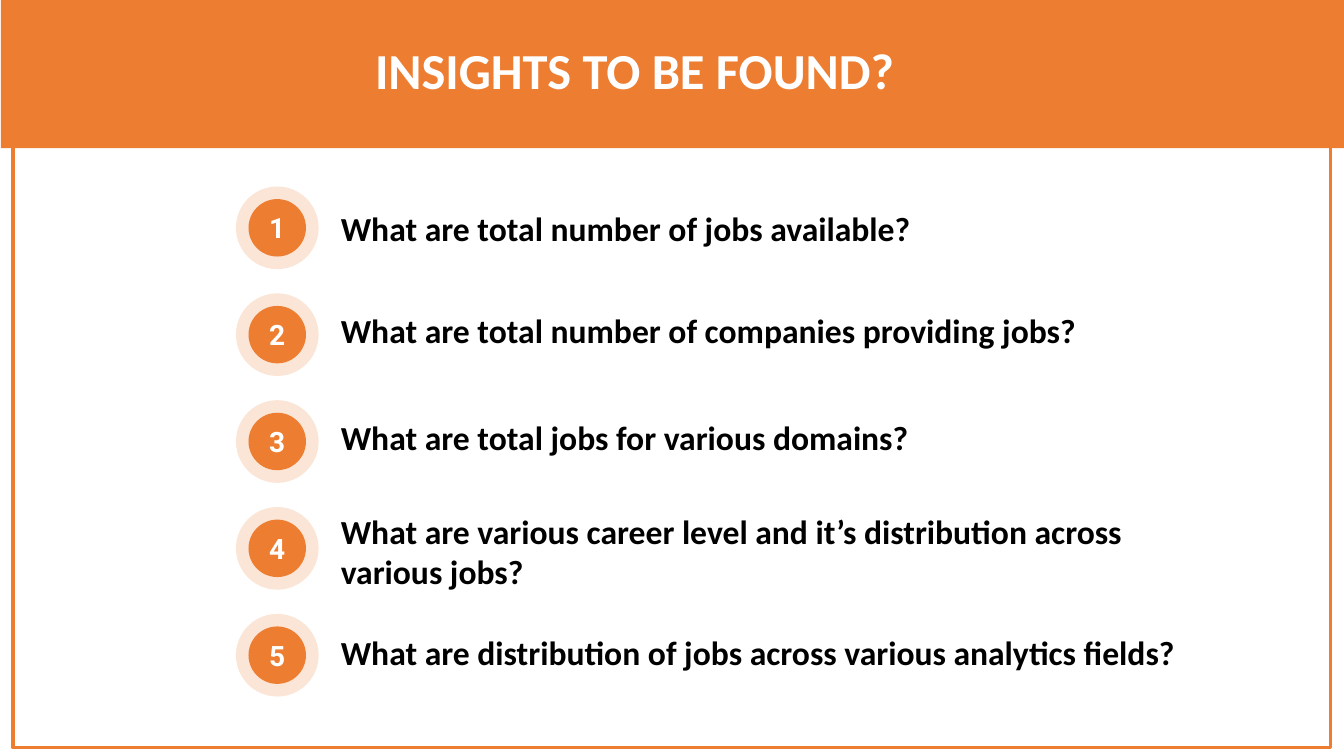
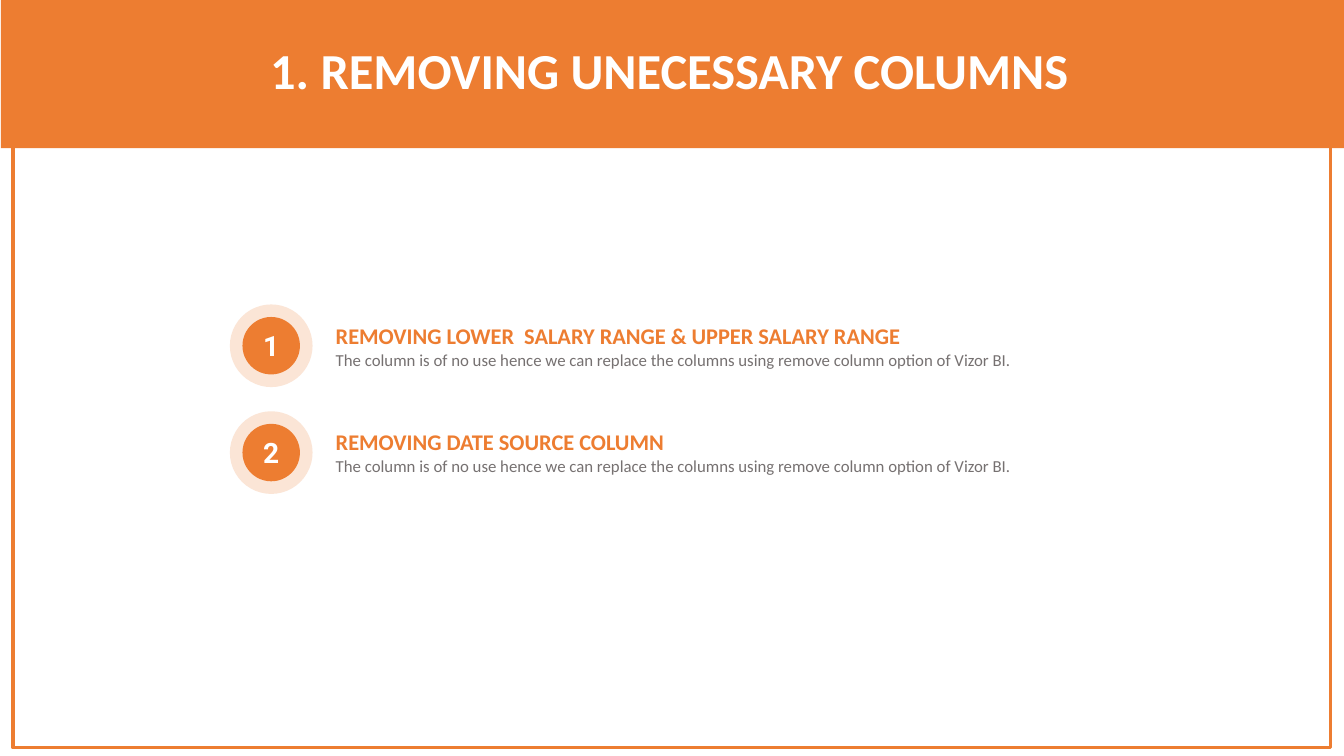
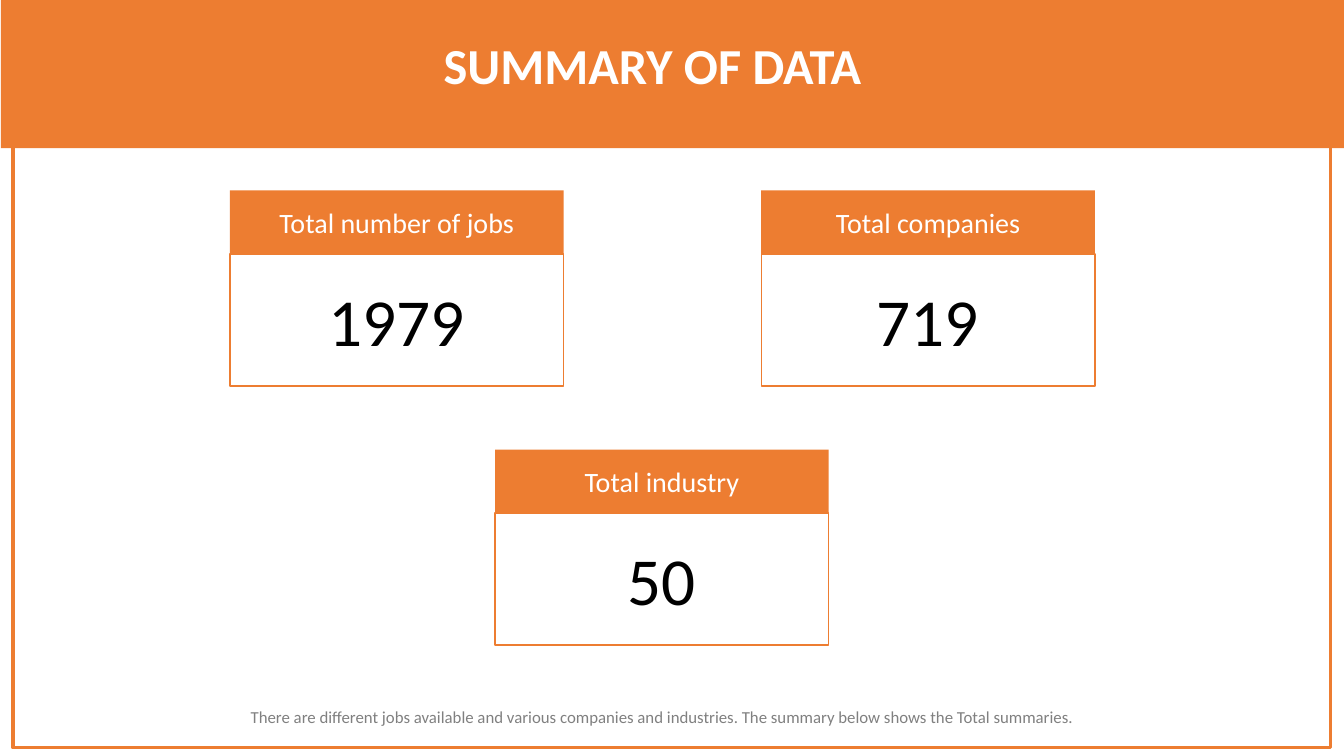
from dataclasses import dataclass

from pptx import Presentation
from pptx import oxml
from pptx.dml import color
from pptx.enum import shapes, text
from pptx.oxml import ns
from pptx.util import Inches, Pt

LEFT = text.PP_ALIGN.LEFT
CENTER = text.PP_ALIGN.CENTER
TOP = text.MSO_ANCHOR.TOP
MIDDLE = text.MSO_ANCHOR.MIDDLE


@dataclass(frozen=True)
class Style:
    size: int
    ink: str
    bold: bool = False
    face: str = "Calibri"


class Theme:
    orange = "ED7D31"
    peach = "FBE5D6"
    white = "FFFFFF"
    title = Style(36, white, True)
    number = Style(20, white, True, "Roboto")
    question = Style(24, "000000", True)
    heading = Style(16, orange, True)
    detail = Style(12, "767171")
    card_label = Style(20, white)
    card_value = Style(48, "000000")
    note = Style(12, "808080")


HALO, DISC, STEP = 0.82, 0.57, 1.06
CARD_WIDTH, LABEL_HEIGHT, VALUE_HEIGHT = 3.31, 0.63, 1.31


def apply(target, formats):
    for name, value in formats.items():
        setattr(target, name, value)


def rgb(value):
    return color.RGBColor.from_string(value)


def write(frame, lines, align=CENTER, anchor=MIDDLE):
    apply(frame, dict(word_wrap=True, auto_size=text.MSO_AUTO_SIZE.NONE,
                      vertical_anchor=anchor))
    for index, (words, style, gap) in enumerate(lines):
        line = frame.add_paragraph() if index else frame.paragraphs[0]
        apply(line, dict(alignment=align, space_before=Pt(gap)))
        run = line.add_run()
        run.text = words
        apply(run.font, dict(size=Pt(style.size), bold=style.bold, name=style.face))
        run.font.color.rgb = rgb(style.ink)


def fill_placeholder(holder, box, lines, align=LEFT):
    left, top, width, height = map(Inches, box)
    apply(holder, dict(left=left, top=top, width=width, height=height))
    write(holder.text_frame, lines, align, TOP)


def block(slide, preset, box, fill, line=None, weight=1):
    shape = slide.shapes.add_shape(preset, *map(Inches, box))
    shape.shadow.inherit = False
    shape.fill.solid()
    shape.fill.fore_color.rgb = rgb(fill)
    if line:
        shape.line.color.rgb = rgb(line)
        shape.line.width = Pt(weight)
    else:
        shape.line.fill.background()
    return shape


def number_badges(slide, left, top, count):
    inset = (HALO - DISC) / 2
    for index in range(count):
        y = top + index * STEP
        block(slide, shapes.MSO_SHAPE.OVAL, (left, y, HALO, HALO), Theme.peach)
        disc = block(slide, shapes.MSO_SHAPE.OVAL,
                     (left + inset, y + inset, DISC, DISC), Theme.orange)
        apply(disc.text_frame, dict(margin_left=0, margin_right=0,
                                    margin_top=0, margin_bottom=0))
        write(disc.text_frame, [(str(index + 1), Theme.number, 0)])


def summary_card(slide, left, top, label, value):
    box = (left, top + LABEL_HEIGHT, CARD_WIDTH, VALUE_HEIGHT)
    total = block(slide, shapes.MSO_SHAPE.RECTANGLE, box, Theme.white, Theme.orange)
    write(total.text_frame, [(value, Theme.card_value, 0)])
    box = (left, top, CARD_WIDTH, LABEL_HEIGHT)
    header = block(slide, shapes.MSO_SHAPE.RECTANGLE, box, Theme.orange)
    write(header.text_frame, [(label, Theme.card_label, 0)])


def decorate_layout(layout, slide):
    frame = block(slide, shapes.MSO_SHAPE.RECTANGLE, (0.13, 0.09, 13.07, 7.33),
                  Theme.white, Theme.orange, 2.25)
    band = block(slide, shapes.MSO_SHAPE.RECTANGLE, (0.01, 0, 13.32, 1.47),
                 Theme.orange)
    for offset, part in enumerate((frame, band)):
        part.element.find(".//" + ns.qn("p:cNvPr")).set("id", str(20 + offset))
        layout.shapes.element.insert(2 + offset, part.element)
    levels = layout.placeholders.get(1).element.find(".//" + ns.qn("a:lstStyle"))
    levels.insert(0, oxml.parse_xml(
        f'<a:lvl1pPr {ns.nsdecls("a")} marL="0" indent="0"><a:buNone/></a:lvl1pPr>'))


def titled_slide(deck, title, box, align=CENTER):
    slide = deck.slides.add_slide(deck.slide_layouts[1])
    fill_placeholder(slide.shapes.title, box, [(title, Theme.title, 0)], align)
    return slide


def insights_slide(deck):
    slide = titled_slide(deck, "INSIGHTS TO BE FOUND?", (2.83, 0.34, 6.93, 0.71))
    questions = [
        ("What are total number of jobs available?", 0),
        ("What are total number of companies providing jobs?", 44),
        ("What are total jobs for various domains?", 48),
        ("What are various career level and it’s distribution across various jobs?", 38),
        ("What are distribution of jobs across various analytics fields?", 29),
    ]
    number_badges(slide, 2.34, 1.85, len(questions))
    fill_placeholder(slide.placeholders[1], (3.28, 2.01, 8.69, 5.16),
                     [(words, Theme.question, gap) for words, gap in questions])
    return slide


def columns_slide(deck):
    slide = titled_slide(deck, "1. REMOVING UNECESSARY COLUMNS",
                         (1.98, 0.34, 9.32, 0.71))
    headings = ["REMOVING LOWER  SALARY RANGE & UPPER SALARY RANGE",
                "REMOVING DATE SOURCE COLUMN"]
    reason = ("The column is of no use hence we can replace the columns "
              "using remove column option of Vizor BI.")
    lines = []
    for index, heading in enumerate(headings):
        lines += [(heading, Theme.heading, 42 * index), (reason, Theme.detail, 0)]
    number_badges(slide, 2.28, 3.02, len(headings))
    fill_placeholder(slide.placeholders[1], (3.23, 3.15, 8.69, 1.62), lines)


def summary_slide(deck):
    slide = titled_slide(deck, "SUMMARY OF DATA", (4.3, 0.29, 5.01, 0.71), LEFT)
    cards = [
        (2.28, 1.89, "Total number of jobs", "1979"),
        (7.55, 1.89, "Total companies", "719"),
        (4.91, 4.46, "Total industry", "50"),
    ]
    for card in cards:
        summary_card(slide, *card)
    note = ("There are different jobs available and various companies and "
            "industries. The summary below shows the Total summaries.")
    fill_placeholder(slide.placeholders[1], (1.67, 6.96, 9.8, 0.3),
                     [(note, Theme.note, 0)], CENTER)


def main():
    deck = Presentation()
    apply(deck, dict(slide_width=Inches(13.33), slide_height=Inches(7.5)))
    decorate_layout(deck.slide_layouts[1], insights_slide(deck))
    columns_slide(deck)
    summary_slide(deck)
    deck.save("out.pptx")


if __name__ == "__main__":
    main()
